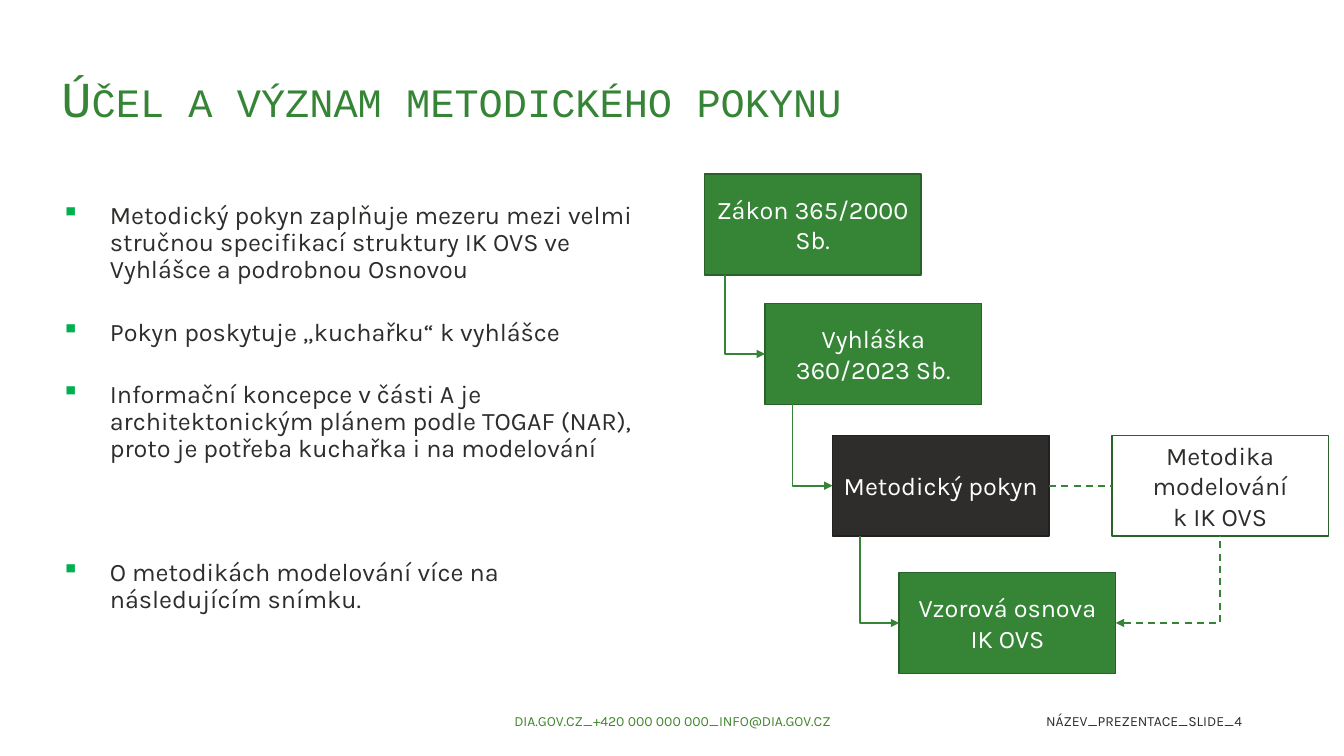
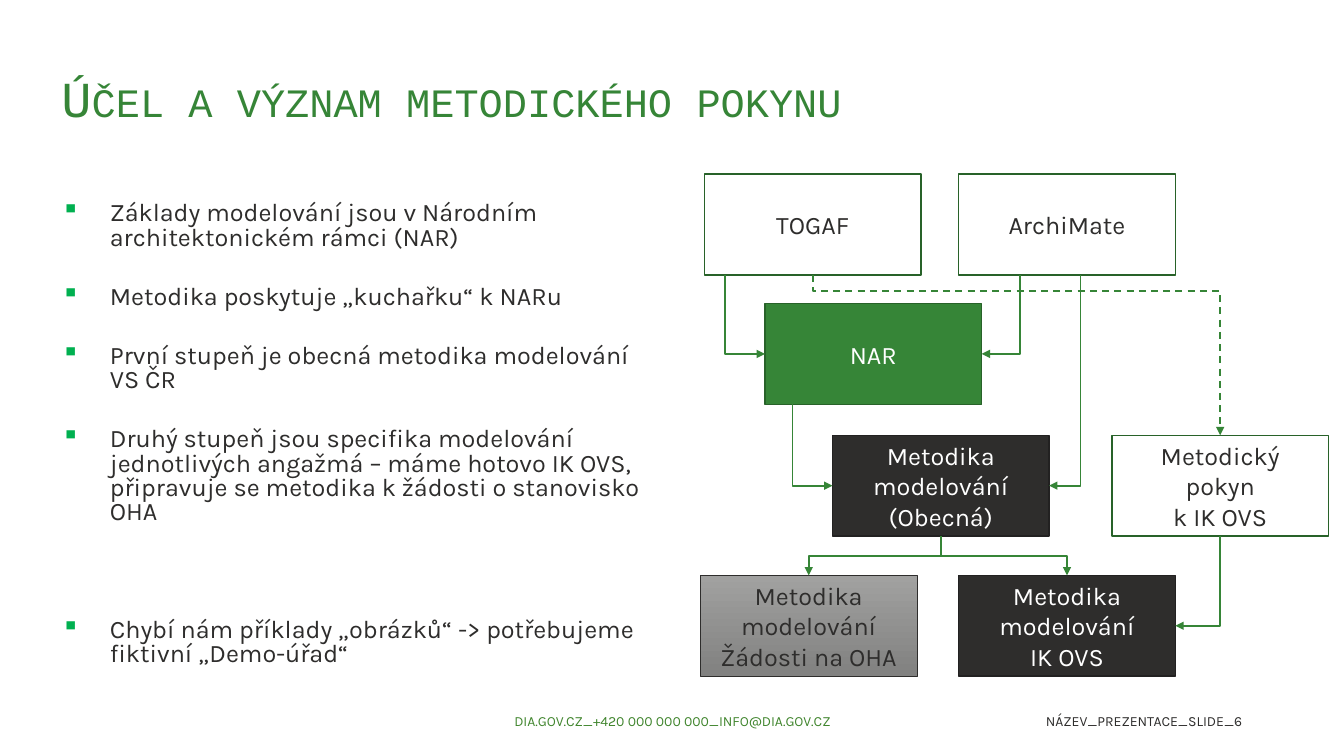
from dataclasses import dataclass

from pptx import Presentation
from pptx import util as u
from pptx.dml.color import RGBColor
from pptx.enum import dml, shapes, text
from pptx.oxml import ns, xmlchemy
from lxml import etree

Cm = u.Cm
ALIGN = text.PP_ALIGN
LINK = shapes.MSO_CONNECTOR


@dataclass(frozen=True)
class Theme:
    """Colours, fonts and sizes that the slides share."""
    green: str = "368537"
    edge: str = "286229"
    dark: str = "2E2D2C"
    rim: str = "222121"
    white: str = "FFFFFF"
    mark: str = "00B050"
    mail: str = "40852D"
    pale: str = "A1A1A0"
    grey: str = "818180"
    head: str = "Courier New"
    font: str = "Karla"
    big: int = 36
    base: int = 18
    small: int = 10
    wire: float = 1.25


T = Theme()
STYLES = {
    "green": (T.green, T.edge, T.white, 1),
    "dark": (T.dark, T.rim, T.white, 1),
    "plain": (None, T.edge, T.dark, 1),
    "fade": ((T.pale, T.grey), T.dark, T.dark, 0.5),
}


def rgb(code):
    """Turn a hex code into a colour."""
    return RGBColor.from_string(code)


def sub(node, tag, **attrs):
    """Append a drawing element with attributes."""
    item = etree.SubElement(node, ns.qn(tag))
    for key, val in attrs.items():
        item.set(key, str(val))
    return item


def bullet(para):
    """Give a paragraph a hanging square bullet."""
    props = para._p.get_or_add_pPr()
    props.set("marL", str(Cm(1.22)))
    props.set("indent", str(-Cm(1.22)))
    sub(sub(props, "a:buClr"), "a:srgbClr", val=T.mark)
    sub(props, "a:buChar", char="▪")


def write(frame, lines, *, size=T.base, font=T.font, color=T.dark,
          align=ALIGN.LEFT, mid=True, pitch=None, gaps=None, marks=False,
          caps=False):
    """Fill a text frame with formatted paragraphs."""
    frame.word_wrap = True
    frame.vertical_anchor = text.MSO_ANCHOR.MIDDLE if mid else text.MSO_ANCHOR.TOP
    for i, line in enumerate(lines):
        para = frame.add_paragraph() if i else frame.paragraphs[0]
        para.alignment = align
        if pitch:
            para.line_spacing = pitch
        if gaps and i:
            para.space_before = u.Pt(gaps[i - 1])
        if marks:
            bullet(para)
        run = para.add_run()
        run.text = line
        run.font.size = u.Pt(size)
        run.font.name = font
        run.font.color.rgb = rgb(color)
        if caps:
            run._r.get_or_add_rPr().set("cap", "small")


def label(slide, area, lines, **form):
    """Add a text box; area is left, top, width, height in cm."""
    box = slide.shapes.add_textbox(*map(Cm, area))
    write(box.text_frame, lines, **form)


def box(slide, left, top, words, style):
    """Add one diagram box."""
    fill, edge, ink, width = STYLES[style]
    shape = slide.shapes.add_shape(shapes.MSO_SHAPE.RECTANGLE, Cm(left), Cm(top),
                                   Cm(5.46), Cm(2.54))
    shape.shadow.inherit = False
    if fill is None:
        shape.fill.background()
    elif isinstance(fill, tuple):
        shape.fill.gradient()
        shape.fill.gradient_angle = 270
        for stop, code in zip(shape.fill.gradient_stops, fill):
            stop.color.rgb = rgb(code)
    else:
        shape.fill.solid()
        shape.fill.fore_color.rgb = rgb(fill)
    shape.line.color.rgb = rgb(edge)
    shape.line.width = u.Pt(width)
    write(shape.text_frame, words.split("\n"), color=ink, align=ALIGN.CENTER)
    return shape


def wire(slide, kind, start, end, dash=False, tip=None):
    """Add a connector, with an arrowhead at the named end."""
    line = slide.shapes.add_connector(kind, *start, *end)
    line.line.color.rgb = rgb(T.green)
    line.line.width = u.Pt(T.wire)
    if dash:
        line.line.dash_style = dml.MSO_LINE.DASH
    if tip:
        sub(line.line._get_or_add_ln(), tip, type="triangle")
    sub(line._element.spPr, "a:effectLst")
    return line


def centre(shape):
    """Return the middle of a shape."""
    return shape.left + shape.width // 2, shape.top + shape.height // 2


def drop(slide, src, dst, shift=2.73, dash=False):
    """Lead an arrow down from src, then sideways into dst."""
    x = src.left + Cm(shift)
    mid, y = centre(dst)
    side = dst.left if x < mid else dst.left + dst.width
    line = wire(slide, LINK.ELBOW, (side, y), (x, src.top + src.height),
                dash, "a:headEnd")
    line._element.spPr.find(ns.qn("a:prstGeom")).set("prst", "bentConnector2")


def fork(slide, src, dst, bend=0.5, dash=False):
    """Lead an arrow down, across and down into the top of dst."""
    x, y = centre(src)[0], src.top + src.height
    end, low = centre(dst)[0], dst.top
    high, wide = low - y, abs(end - x)
    left, top = (x + end - high) // 2, (y + low - wide) // 2
    line = wire(slide, LINK.ELBOW, (left, top), (left + high, top + wide),
                dash, "a:tailEnd")
    props = line._element.spPr
    frame = props.find(ns.qn("a:xfrm"))
    frame.set("rot", "16200000" if end > x else "5400000")
    if end > x:
        frame.set("flipH", "1")
    geom = props.find(ns.qn("a:prstGeom"))
    for old in list(geom):
        geom.remove(old)
    sub(sub(geom, "a:avLst"), "a:gd", name="adj1", fmla=f"val {round(bend * 100000)}")


def join(slide, src, dst):
    """Join two neighbours with a dashed line."""
    line = wire(slide, LINK.STRAIGHT, centre(src), centre(dst), dash=True)
    line.begin_connect(src, 3)
    line.end_connect(dst, 1)


def page(deck, number, points, pitch, gaps):
    """Add a slide with title, bullet points and footer."""
    slide = deck.slides.add_slide(deck.slide_layouts[6])
    label(slide, (1.3, 0.71, 29.21, 3.68), ["Účel a význam metodického pokynu"],
          size=T.big, font=T.head, color=T.green, pitch=0.9, caps=True)
    label(slide, (1.3, 4.98, 15.09, 12.09), points, mid=False, pitch=pitch,
          gaps=gaps, marks=True)
    label(slide, (11.23, 17.65, 11.43, 1.02),
          ["DIA.GOV.CZ_+420 000 000 000_INFO@DIA.GOV.CZ"],
          size=T.small, color=T.mail, align=ALIGN.CENTER)
    label(slide, (23.93, 17.65, 7.62, 1.02), [f"NÁZEV_PREZENTACE_SLIDE_{number}"],
          size=T.small, align=ALIGN.RIGHT)
    return slide


def stairs(slide, names, styles):
    """Add the three stepped boxes, their arrows and the box beside them."""
    spots = ((17.75, 4.39), (19.28, 7.65), (20.98, 10.97), (28.02, 10.97))
    law, rule, guide, side = (box(slide, *spot, name, style)
                              for spot, name, style in zip(spots, names, styles))
    drop(slide, law, rule, 0.53)
    drop(slide, rule, guide, 0.69)
    return law, rule, guide, side


def purpose(deck):
    """Build the slide on the purpose of the guide."""
    slide = page(deck, 4, [
        "Metodický pokyn zaplňuje mezeru mezi velmi stručnou specifikací "
        "struktury IK OVS ve Vyhlášce a podrobnou Osnovou",
        "Pokyn poskytuje „kuchařku“ k vyhlášce",
        "Informační koncepce v části A je architektonickým plánem podle "
        "TOGAF (NAR), proto je potřeba kuchařka i na modelování",
        "O metodikách modelování více na následujícím snímku.",
    ], 0.9, (25, 25, 69))
    _, _, guide, side = stairs(
        slide,
        ("Zákon 365/2000 Sb.", "Vyhláška 360/2023 Sb.", "Metodický pokyn",
         "Metodika modelování\nk IK OVS"),
        ("green", "green", "dark", "plain"))
    plan = box(slide, 22.66, 14.43, "Vzorová osnova IK OVS", "green")
    drop(slide, guide, plan, 0.69)
    join(slide, guide, side)
    drop(slide, side, plan, dash=True)


def models(deck):
    """Build the slide on the modelling methods."""
    slide = page(deck, 6, [
        "Základy modelování jsou v Národním architektonickém rámci (NAR)",
        "Metodika poskytuje „kuchařku“ k NARu",
        "První stupeň je obecná metodika modelování VS ČR",
        "Druhý stupeň jsou specifika modelování jednotlivých angažmá – máme "
        "hotovo IK OVS, připravuje se metodika k žádosti o stanovisko OHA",
        "Chybí nám příklady „obrázků“ -> potřebujeme fiktivní „Demo-úřad“",
    ], 0.8, (25, 25, 25, 67))
    togaf, nar, guide, side = stairs(
        slide,
        ("TOGAF", "NAR", "Metodika modelování (Obecná)",
         "Metodický\npokyn\nk IK OVS"),
        ("plain", "green", "dark", "plain"))
    arch = box(slide, 24.16, 4.39, "ArchiMate", "plain")
    plea = box(slide, 17.65, 14.5, "Metodika modelování\nŽádosti na OHA", "fade")
    plan = box(slide, 24.16, 14.5, "Metodika modelování\nIK OVS", "dark")
    drop(slide, arch, nar, 1.55)
    drop(slide, arch, guide, 3.07)
    drop(slide, side, plan)
    fork(slide, guide, plea)
    fork(slide, guide, plan)
    fork(slide, togaf, side, 0.1, dash=True)


def main():
    """Build and save the deck."""
    deck = Presentation()
    deck.slide_width, deck.slide_height = Cm(33.87), Cm(19.05)
    purpose(deck)
    models(deck)
    deck.save("out.pptx")


if __name__ == "__main__":
    main()
